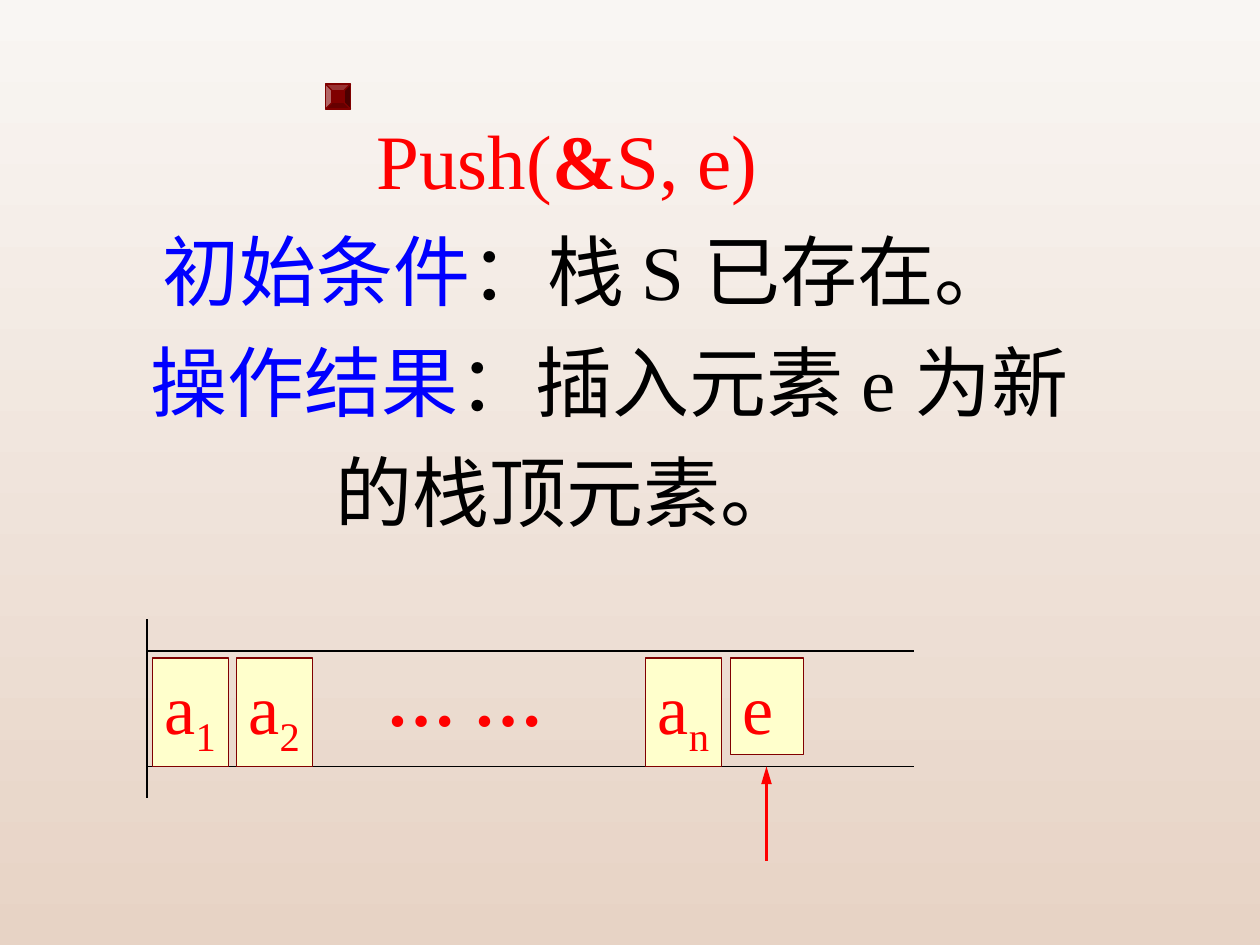
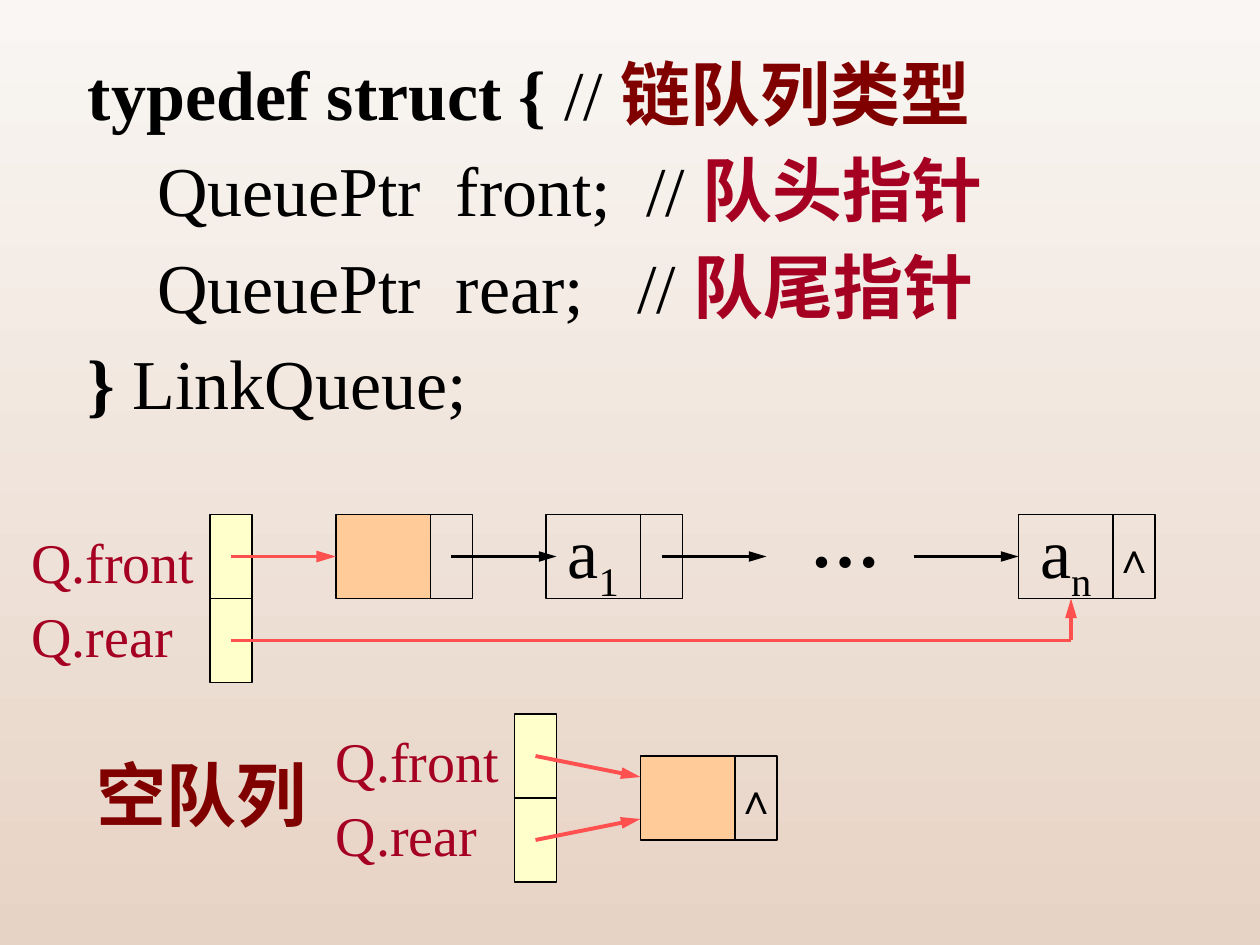
"""Build two slides on stack push and the linked queue type."""
from lxml import etree
from pptx import Presentation
from pptx.dml.color import RGBColor as Rgb
from pptx.enum.shapes import MSO_CONNECTOR as Connector, MSO_SHAPE as Preset
from pptx.enum.text import MSO_ANCHOR as Anchor, PP_ALIGN as Align
from pptx.oxml.ns import qn
from pptx.util import Inches, Pt

COLORS = {
    "top": "F9F6F3", "bottom": "E7D3C5", "black": "000000", "red": "FF0000",
    "blue": "0000FF", "maroon": "800000", "crimson": "A50021",
    "coral": "FF5050", "cream": "FFFFCC", "peach": "FFCC99",
}
RGB = {name: Rgb.from_string(value) for name, value in COLORS.items()}
FONT = "Times New Roman"
CELL = Inches(1) / 12
SUB = {"sub": True}
BOLD = {"bold": True}


def add_box(page, at, paras=(), size=40, color="black", fill=None, line=None,
            preset=Preset.RECTANGLE, wrap=False, center=False, spacing=None):
    """Add a text box, or a shape when it has a line, on the cell grid."""
    place = [round(part * CELL) for part in at]
    if line:
        box = page.shapes.add_shape(preset, *place)
        box.shadow.inherit = False
        box.line.color.rgb = RGB[line]
        box.line.width = Pt(0.75)
        if fill:
            box.fill.solid()
            box.fill.fore_color.rgb = RGB[fill]
        else:
            box.fill.background()
    else:
        box = page.shapes.add_textbox(*place)
    frame = box.text_frame
    frame.word_wrap = wrap
    frame.vertical_anchor = Anchor.MIDDLE if center else Anchor.TOP
    for index, spans in enumerate(paras):
        para = frame.add_paragraph() if index else frame.paragraphs[0]
        para.alignment = Align.CENTER if center else Align.LEFT
        para.line_spacing = spacing
        for text, style in spans:
            span = para.add_run()
            span.text = text
            span.font.bold = style.get("bold", False)
            span.font.color.rgb = RGB[style.get("color", color)]
            if style.get("sub"):
                span._r.get_or_add_rPr().set("baseline", "-25000")
        for font in [para.font, *(span.font for span in para.runs)]:
            font.name = FONT
            font.size = Pt(size)
    return box


def add_line(page, start, end, color="black", width=0.75, arrow=False):
    """Draw a straight line between two grid points."""
    line = page.shapes.add_connector(
        Connector.STRAIGHT, *(round(part * CELL) for part in (*start, *end)))
    line.line.color.rgb = RGB[color]
    line.line.width = Pt(width)
    if arrow:
        etree.SubElement(line.line._get_or_add_ln(), qn("a:tailEnd"),
                         type="triangle", w="med", len="lg")
    etree.SubElement(line._element.spPr, qn("a:effectLst"))


deck = Presentation()
deck.slide_width, deck.slide_height = Inches(10), Inches(7.5)
backdrop = deck.slide_master.background.fill
backdrop.gradient()
backdrop.gradient_angle = 270
for stop, name, position in zip(backdrop.gradient_stops, ("top", "bottom"), (0, 1)):
    stop.color.rgb = RGB[name]
    stop.position = position
push_page, queue_page = (deck.slides.add_slide(deck.slide_layouts[6]) for _ in range(2))

blue = {"color": "blue"}
red = {"color": "red"}
operation = add_box(push_page, (3, 27, 102, 15), [
    [("Push(", red), ("&", red | BOLD), ("S, e)", red)],
    [("初始条件", blue), ("：栈 S 已存在。", {})],
    [("操作结果", blue), ("：插入元素 e 为新的栈顶元素。", {})],
], size=44, wrap=True, center=True, spacing=1.2)
operation.text_frame.margin_bottom = Inches(0.79)
for para, indent in zip(operation.text_frame.paragraphs, (0, 0.32, 0.68)):
    para._p.get_or_add_pPr().set("indent", str(Inches(indent)))

bullet = add_box(push_page, (31, 8, 2.4, 2.4), fill="maroon", line="maroon",
                 preset=Preset.BEVEL)
bullet.adjustments[0] = 0.25

add_line(push_page, (14, 59), (14, 76))
for row in (62, 73):
    add_line(push_page, (14, row), (87, row))
for column, index in ((14.5, "1"), (22.5, "2"), (61.46, "n")):
    add_box(push_page, (column, 62.66, 7.28, 10.34), [[("a", {}), (index, SUB)]],
            color="red", fill="cream", line="maroon")
add_line(push_page, (73, 82), (73, 73), "red", 2, arrow=True)
add_box(push_page, (69.56, 62.66, 6.96, 9.2), [[("e", {})]],
        color="red", fill="cream", line="maroon", wrap=True)
add_box(push_page, (35.6, 61.95, 17.4, 9.2), [[("… …", BOLD)]], color="red")

crimson = {"color": "crimson", "bold": True}
code = add_box(queue_page, (7.2, 3, 91, 38), [
    [("typedef struct { ", BOLD), ("// ", {}), ("链队列类型", {"color": "maroon", "bold": True})],
    [("\tQueuePtr\tfront;\t// ", {}), ("队头指针", crimson)],
    [("\tQueuePtr\trear;\t// ", {}), ("队尾指针", crimson)],
    [("}", BOLD), (" LinkQueue;", {})],
], wrap=True, spacing=1.15)
for para, comment in zip(code.text_frame.paragraphs[1:3], (4.43, 4.36)):
    tabs = etree.SubElement(para._p.get_or_add_pPr(), qn("a:tabLst"))
    for stop in (0.55, 2.92, comment):
        etree.SubElement(tabs, qn("a:tab"), pos=str(Inches(stop)), algn="l")
    properties = para._p.pPr
    properties.insert(properties.index(tabs) - 1, tabs)

for column, row in ((20, 49), (49, 68)):
    for step in (0, 8):
        add_box(queue_page, (column, row + step, 4, 8), fill="cream", line="black")
    add_box(queue_page, (column - 18.2, row, 18, 15.4),
            [[("Q.front", {})], [("Q.rear", {})]], size=32, color="crimson", spacing=1.1)

nodes = (
    (32, 49, [], "peach", ""),
    (52, 49, [("a", {}), ("1", SUB)], None, ""),
    (97, 49, [("a", {}), ("n", SUB)], None, "∧"),
    (61, 72, [], "peach", "∧"),
)
for column, row, label, fill, link in nodes:
    add_box(queue_page, (column + 9, row, 4, 8), [[(link, {})]] if link else [],
            size=24, line="black", center=True)
    add_box(queue_page, (column, row, 9, 8), [label] if label else [],
            fill=fill, line="black", center=True)

for start, end in ((43, 53), (63, 73), (87, 97)):
    add_line(queue_page, (start, 53), (end, 53), width=2, arrow=True)
for start, end, arrow in (
    ((22, 53), (32, 53), True),
    ((22, 61), (102, 61), False),
    ((102, 61), (102, 57), True),
    ((51, 72), (61, 74), True),
    ((51, 80), (61, 78), True),
):
    add_line(queue_page, start, end, "coral", 2.25, arrow)
add_box(queue_page, (76, 46.8, 11, 9.2), [[("…", BOLD)]], wrap=True)
add_box(queue_page, (8, 71, 23.8, 9.2), [[("空队列", BOLD)]], color="maroon", wrap=True)

deck.save("out.pptx")
